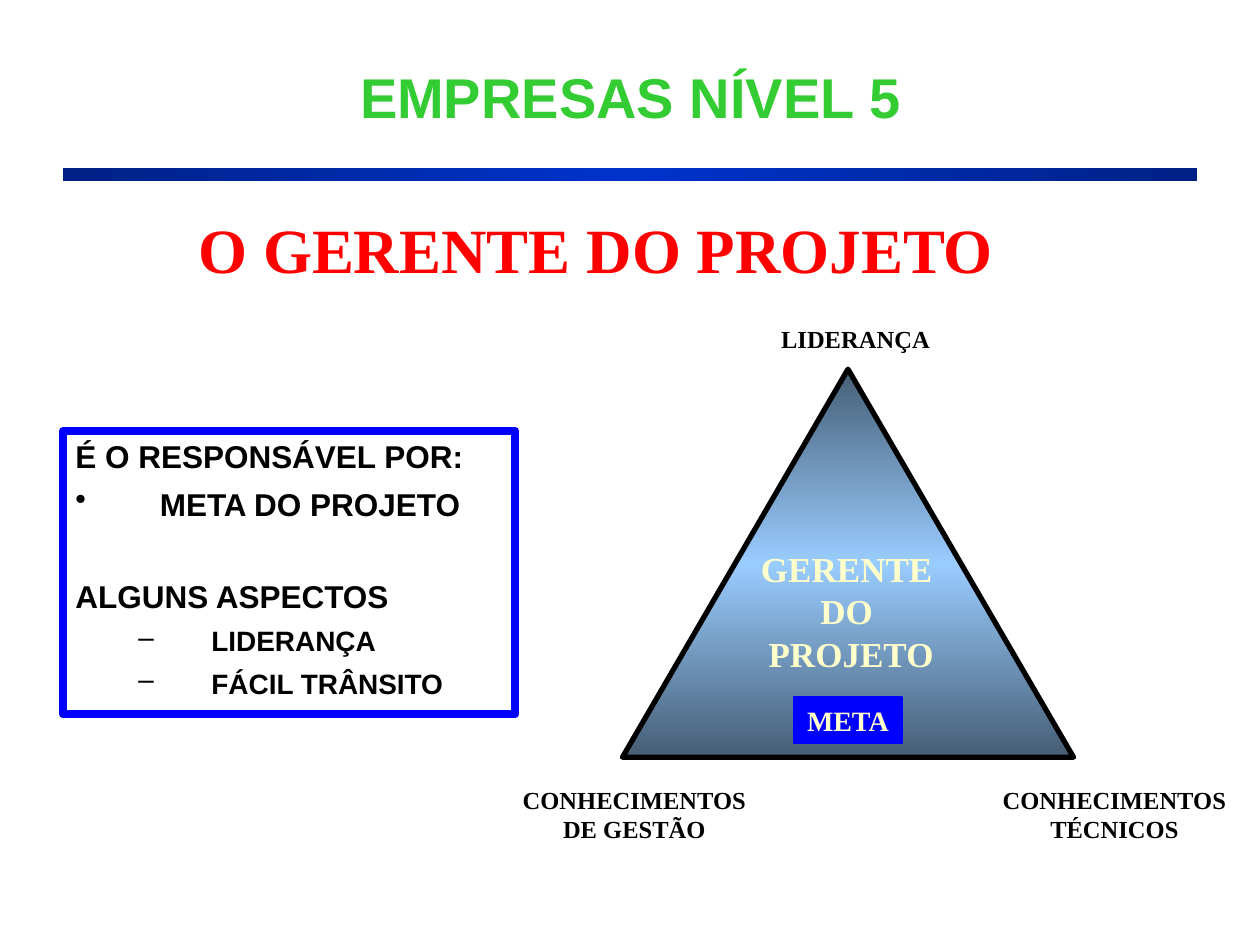
from copy import deepcopy
from pptx import Presentation
from pptx.dml.color import RGBColor
from pptx.enum.shapes import MSO_SHAPE as Shape
from pptx.enum.text import MSO_ANCHOR as Anchor, PP_ALIGN as Align
from pptx.oxml import parse_xml
from pptx.oxml.ns import nsdecls, qn
from pptx.util import Inches, Pt

BLACK = RGBColor(0x00, 0x00, 0x00)
BLUE = RGBColor(0x00, 0x00, 0xFF)
GREEN = RGBColor(0x33, 0xCC, 0x33)
RED = RGBColor(0xFF, 0x00, 0x00)
CREAM = RGBColor(0xFF, 0xFF, 0xCC)
NAVY = RGBColor(0x00, 0x21, 0x86)
ROYAL = RGBColor(0x00, 0x33, 0xCC)
SLATE = RGBColor(0x46, 0x5E, 0x75)
SKY = RGBColor(0x99, 0xCC, 0xFF)
SERIF = "Times New Roman"


def add_shape(kind, box, line=None, width=0):
    shape = slide.shapes.add_shape(kind, *map(Inches, box))
    shape.shadow.inherit = False
    shape.fill.background()
    if line is None:
        shape.line.fill.background()
    else:
        shape.line.color.rgb = line
        shape.line.width = Pt(width)
    return shape


def write(frame, text, size, color, name=SERIF, align=Align.CENTER):
    frame.text = text
    for para in frame.paragraphs:
        para.alignment = align
        for run in para.runs:
            run.font.size = Pt(size)
            run.font.bold = True
            run.font.name = name
            run.font.color.rgb = color


prs = Presentation()
prs.slide_width, prs.slide_height = Inches(10), Inches(7.5)
slide = prs.slides.add_slide(prs.slide_layouts[6])

bar = add_shape(Shape.RECTANGLE, (0.5, 1.33, 9, 0.11))
cone = add_shape(Shape.FLOWCHART_EXTRACT, (4.94, 2.93, 3.58, 3.08), BLACK, 3)
for shape, edge, mid, angle in [(bar, NAVY, ROYAL, 0), (cone, SLATE, SKY, 90)]:
    shape.fill.gradient()
    shape.fill.gradient_angle = angle
    stops = shape._element.spPr.find(".//" + qn("a:gsLst"))
    stops.append(deepcopy(stops[0]))
    for stop, pos, color in zip(shape.fill.gradient_stops, (0, 0.5, 1), (edge, mid, edge)):
        stop.position = pos
        stop.color.rgb = color

title = slide.shapes.add_textbox(Inches(0.67), Inches(0.25), Inches(8.67), Inches(0.83))
title.text_frame.word_wrap = True
title.text_frame.vertical_anchor = Anchor.BOTTOM
write(title.text_frame, "EMPRESAS NÍVEL 5", 32, GREEN, "Arial")
props = title.text_frame.paragraphs[0].runs[0].font._element
props.find(qn("a:solidFill")).addnext(parse_xml(
    f'<a:effectLst {nsdecls("a")}><a:outerShdw dist="38100" dir="2700000">'
    '<a:srgbClr val="000000"/></a:outerShdw></a:effectLst>'))

duties = [
    ("É O RESPONSÁVEL POR:", 18, 0, None),
    ("META DO PROJETO", 18, 5.5, "•"),
    ("ALGUNS ASPECTOS", 18, 31.5, None),
    ("LIDERANÇA", 16, 5, "–"),
    ("FÁCIL TRÂNSITO", 16, 5, "–"),
]
panel = add_shape(Shape.RECTANGLE, (0.5, 3.42, 3.59, 2.25), BLUE, 4.5)
frame = panel.text_frame
frame.vertical_anchor = Anchor.TOP
write(frame, "\n".join(duty[0] for duty in duties), 18, BLACK, "Arial", Align.LEFT)
for para, (text, size, gap, mark) in zip(frame.paragraphs, duties):
    para.space_before = Pt(gap)
    para.runs[0].font.size = Pt(size)
    left, hang = (1.08, 0.58) if mark == "–" else (0.67, 0.67)
    para.level = 1 if mark == "–" else 0
    ppr = para._p.get_or_add_pPr()
    ppr.set("marL", str(Inches(left)))
    ppr.set("indent", str(-Inches(hang)))
    if mark:
        ppr.append(parse_xml(f'<a:buChar {nsdecls("a")} char="{mark}"/>'))

labels = [
    ("CONHECIMENTOS\nDE GESTÃO", (4.05, 6.18, 1.97, 0.57), 14, BLACK),
    ("CONHECIMENTOS\nTÉCNICOS", (7.86, 6.18, 1.97, 0.57), 14, BLACK),
    ("LIDERANÇA", (6.1, 2.52, 1.38, 0.34), 14, BLACK),
    ("GERENTE \nDO \nPROJETO", (5.94, 4.3, 1.63, 1.1), 20, CREAM),
    ("O GERENTE DO PROJETO", (1.47, 1.62, 6.52, 0.7), 36, RED),
]
for text, box, size, color in labels:
    label = slide.shapes.add_textbox(*map(Inches, box))
    label.text_frame.word_wrap = False
    write(label.text_frame, text, size, color)

goal = add_shape(Shape.RECTANGLE, (6.3, 5.53, 0.86, 0.37), BLUE, 1)
goal.fill.solid()
goal.fill.fore_color.rgb = BLUE
goal.text_frame.word_wrap = False
write(goal.text_frame, "META", 16, CREAM)

prs.save("out.pptx")
